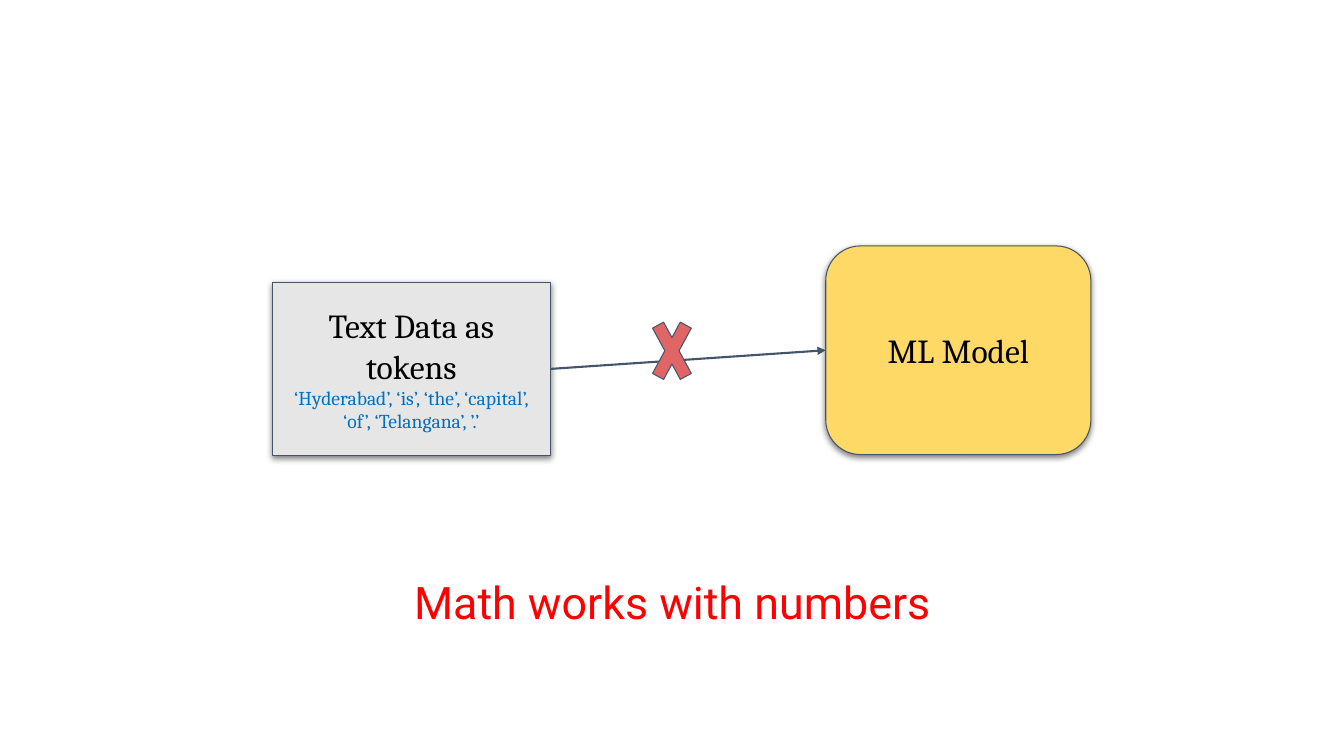
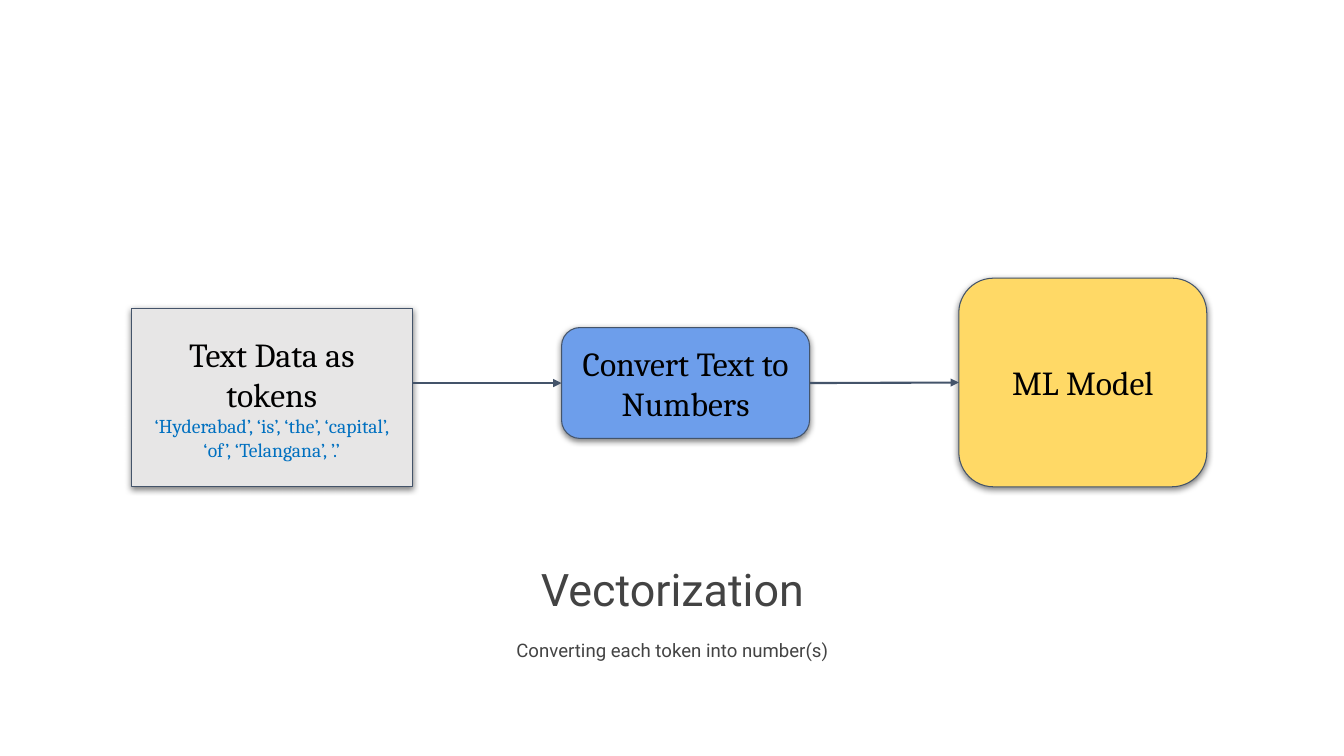
"""Build two slides on why text tokens must become numbers before reaching a model."""
from lxml.etree import SubElement
from pptx import Presentation
from pptx.dml.color import RGBColor
from pptx.enum.shapes import MSO_CONNECTOR, MSO_SHAPE
from pptx.enum.text import MSO_ANCHOR, PP_ALIGN
from pptx.oxml.ns import qn
from pptx.util import Inches, Pt

COLORS = {
    "outline": "44546A", "black": "000000", "tokens": "0070C0", "red": "FF0000",
    "gray_text": "434343", "data": "E7E6E6", "model": "FFD966",
    "convert": "6D9EEB", "cross": "E06666",
}
LABEL_FONT, CAPTION_FONT = "Cambria", "Roboto"
INSET = 0.13
RIGHT_SIDE, LEFT_SIDE = 3, 1

BOX_STYLES = {
    "data": (MSO_SHAPE.RECTANGLE, [
        ("Text Data as tokens", 24, "black"),
        ("‘Hyderabad’, ‘is’, ‘the’, ‘capital’, ‘of’, ‘Telangana’, ’.’", 14, "tokens"),
    ]),
    "convert": (MSO_SHAPE.ROUNDED_RECTANGLE, [("Convert Text to Numbers", 24, "black")]),
    "model": (MSO_SHAPE.ROUNDED_RECTANGLE, [("ML Model", 24, "black")]),
}

SLIDES = [
    {
        "boxes": {"data": (2.7, 2.8, 2.76, 1.72), "model": (8.19, 2.44, 2.63, 2.07)},
        "arrows": [("data", "model")],
        "cross": (6.4, 2.99, 0.53, 0.98),
        "caption": ((1.38, 5.66, 10.58, 0.62), [("Math works with numbers", 32, "red")]),
    },
    {
        "boxes": {
            "data": (1.3, 3.06, 2.79, 1.77),
            "convert": (5.57, 3.25, 2.46, 1.1),
            "model": (9.51, 2.76, 2.46, 2.07),
        },
        "arrows": [((4.09, 3.8), "convert"), ("convert", "model")],
        "caption": ((1.38, 5.53, 10.58, 1.07), [
            ("Vectorization", 32, "gray_text"),
            ("Converting each token into number(s)", 13.3, "gray_text"),
        ]),
    },
]


def color(name):
    return RGBColor.from_string(COLORS[name])


def inches(values):
    return [Inches(value) for value in values]


def write(shape, paragraphs, font, gap=0):
    frame = shape.text_frame
    frame.word_wrap = True
    frame.vertical_anchor = MSO_ANCHOR.MIDDLE
    frame.margin_left = frame.margin_right = Inches(INSET)
    frame.margin_top = frame.margin_bottom = Inches(INSET)
    for index, (text, size, color_name) in enumerate(paragraphs):
        paragraph = frame.add_paragraph() if index else frame.paragraphs[0]
        paragraph.alignment = PP_ALIGN.CENTER
        if index:
            paragraph.space_before = Pt(gap)
        run = paragraph.add_run()
        run.text = text
        run.font.name = font
        run.font.size = Pt(size)
        run.font.color.rgb = color(color_name)


def add_figure(slide, kind, place, fill):
    shape = slide.shapes.add_shape(kind, *inches(place))
    shape.fill.solid()
    shape.fill.fore_color.rgb = color(fill)
    shape.line.color.rgb = color("outline")
    shape.line.width = Pt(0.75)
    shape.shadow.inherit = False
    return shape


def add_drop_shadow(shape):
    effects = shape._element.spPr.find(qn("a:effectLst"))
    shadow = SubElement(effects, qn("a:outerShdw"), blurRad=str(Pt(4.5)),
                        dist=str(Pt(1.5)), dir="5400000", algn="bl", rotWithShape="0")
    shade = SubElement(shadow, qn("a:srgbClr"), val=COLORS["black"])
    SubElement(shade, qn("a:alpha"), val="50000")


def add_box(slide, name, place):
    kind, paragraphs = BOX_STYLES[name]
    box = add_figure(slide, kind, place, name)
    add_drop_shadow(box)
    write(box, paragraphs, LABEL_FONT)
    return box


def add_arrow(slide, boxes, source, target):
    start = (0, 0) if source in boxes else source
    arrow = slide.shapes.add_connector(MSO_CONNECTOR.STRAIGHT, *inches(start), *inches(start))
    if source in boxes:
        arrow.begin_connect(boxes[source], RIGHT_SIDE)
    arrow.end_connect(boxes[target], LEFT_SIDE)
    arrow.line.color.rgb = color("outline")
    arrow.line.width = Pt(1.5)
    properties = arrow._element.spPr
    SubElement(properties.find(qn("a:ln")), qn("a:tailEnd"), type="triangle")
    SubElement(properties, qn("a:effectLst"))


def build_slide(presentation, content):
    slide = presentation.slides.add_slide(presentation.slide_layouts[6])
    boxes = {name: add_box(slide, name, place) for name, place in content["boxes"].items()}
    for source, target in content["arrows"]:
        add_arrow(slide, boxes, source, target)
    if "cross" in content:
        cross = add_figure(slide, MSO_SHAPE.MATH_MULTIPLY, content["cross"], "cross")
        cross.adjustments[0] = 0.235
    place, paragraphs = content["caption"]
    write(slide.shapes.add_textbox(*inches(place)), paragraphs, CAPTION_FONT, gap=17)


def main():
    presentation = Presentation()
    presentation.slide_width, presentation.slide_height = inches((13.33, 7.5))
    for content in SLIDES:
        build_slide(presentation, content)
    presentation.save("out.pptx")


if __name__ == "__main__":
    main()
